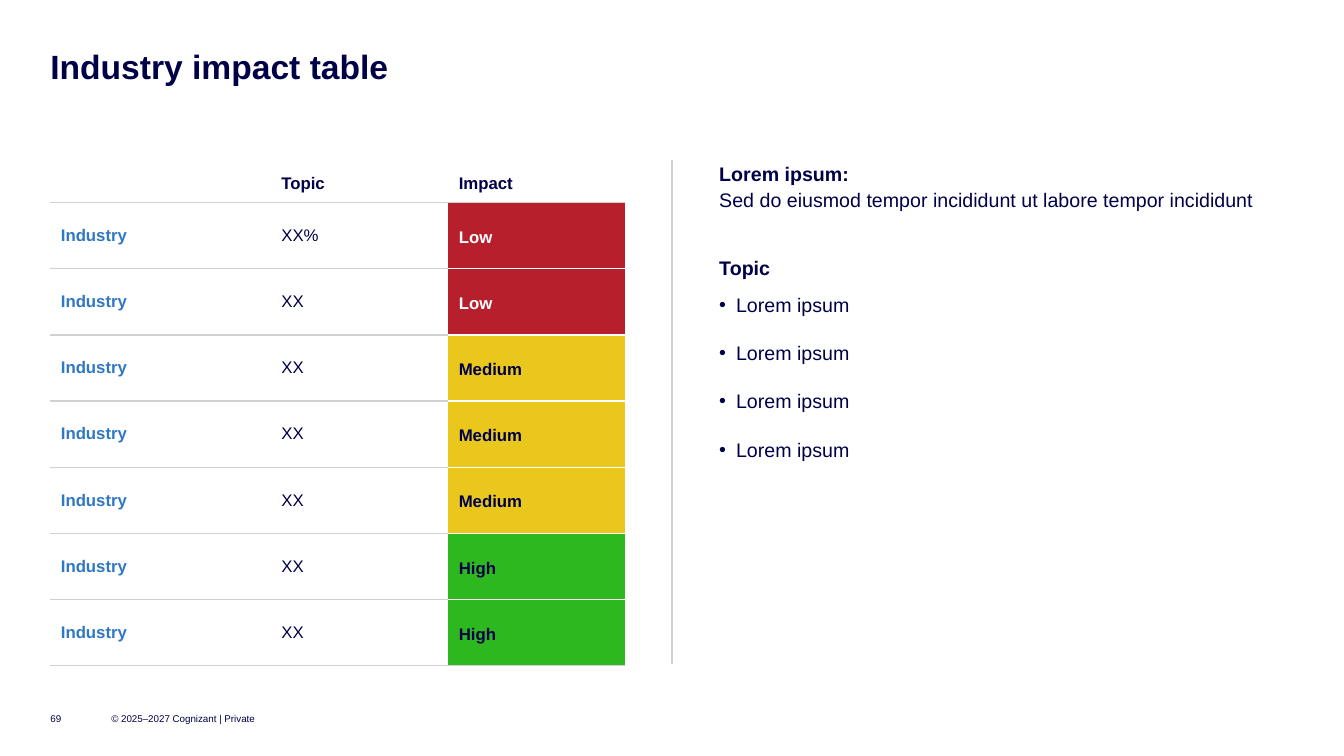
from lxml.etree import SubElement
from pptx import Presentation
from pptx.dml.color import RGBColor
from pptx.enum.shapes import MSO_CONNECTOR as CONN
from pptx.enum.text import MSO_ANCHOR as ANCHOR
from pptx.oxml.ns import qn
from pptx.util import Pt

PX = 9525
FONT = "Arial"
NO_STYLE = "{2D5ABB26-0587-4C30-8999-92F81FD0307C}"
NAVY = RGBColor(0x00, 0x00, 0x48)
BLUE = RGBColor(0x2F, 0x78, 0xC4)
GREY = RGBColor(0xD0, 0xD0, 0xCE)
WHITE = RGBColor(0xFF, 0xFF, 0xFF)
RED = RGBColor(0xB8, 0x1F, 0x2D)
YELLOW = RGBColor(0xE9, 0xC7, 0x1D)
GREEN = RGBColor(0x2D, 0xB8, 0x1F)

IMPACT_STYLES = {"Low": (RED, WHITE), "Medium": (YELLOW, NAVY), "High": (GREEN, NAVY)}
ROWS = [
    ("Industry", "XX%", "Low"),
    ("Industry", "XX", "Low"),
    ("Industry", "XX", "Medium"),
    ("Industry", "XX", "Medium"),
    ("Industry", "XX", "Medium"),
    ("Industry", "XX", "High"),
    ("Industry", "XX", "High"),
]
COL_WIDTHS = (210, 169, 168)
HEADER_H, ROW_H = 40, 63


def px(n):
    return n * PX


def add_run(p, text, size, color=NAVY, bold=False):
    r = p.add_run()
    r.text = text
    r.font.name = FONT
    r.font.size = Pt(size)
    r.font.bold = bold
    r.font.color.rgb = color


def add_box(s, x, y, w, h, anchor=ANCHOR.TOP):
    tf = s.shapes.add_textbox(px(x), px(y), px(w), px(h)).text_frame
    tf.word_wrap = True
    tf.margin_left = tf.margin_top = tf.margin_right = tf.margin_bottom = 0
    tf.vertical_anchor = anchor
    return tf


def add_label(s, x, y, w, h, text, size, bold=False, anchor=ANCHOR.MIDDLE, spacing=1.0):
    p = add_box(s, x, y, w, h, anchor).paragraphs[0]
    p.line_spacing = spacing
    add_run(p, text, size, bold=bold)


def add_divider(s, x, y1, y2):
    line = s.shapes.add_connector(CONN.STRAIGHT, px(x), px(y1), px(x), px(y2))
    line.line.color.rgb = GREY
    line.line.width = Pt(1)
    SubElement(line._element.spPr, qn("a:effectLst"))


def set_border(cell, side, color):
    ln = SubElement(cell._tc.get_or_add_tcPr(), qn(f"a:{side}"), w=str(Pt(1)))
    SubElement(SubElement(ln, qn("a:solidFill")), qn("a:srgbClr"), val=str(color))


def fill_cell(cell, text, color, bold, anchor, spacing, fill=None):
    cell.margin_left = cell.margin_right = px(10)
    cell.margin_top = cell.margin_bottom = px(9 if text else 0)
    cell.vertical_anchor = anchor
    if fill is None:
        cell.fill.background()
    else:
        cell.fill.solid()
        cell.fill.fore_color.rgb = fill
    if text:
        p = cell.text_frame.paragraphs[0]
        p.line_spacing = spacing
        add_run(p, text, 12, color, bold)


def add_impact_table(s, x, y):
    rows = [("", "Topic", "Impact")] + ROWS
    last = len(rows) - 1
    height = HEADER_H + ROW_H * last
    table = s.shapes.add_table(
        len(rows), len(COL_WIDTHS), px(x), px(y), px(sum(COL_WIDTHS)), px(height)
    ).table
    table.first_row = table.horz_banding = False
    table._tbl.tblPr.find(qn("a:tableStyleId")).text = NO_STYLE
    for col, w in zip(table.columns, COL_WIDTHS):
        col.width = px(w)
    for i, texts in enumerate(rows):
        table.rows[i].height = px(ROW_H if i else HEADER_H)
        anchor = ANCHOR.MIDDLE if i else ANCHOR.BOTTOM
        for j, text in enumerate(texts):
            cell = table.cell(i, j)
            if i > 0:
                set_border(cell, "lnT", WHITE if j == 2 and i > 1 else GREY)
            set_border(cell, "lnB", WHITE if j == 2 and 0 < i < last else GREY)
            fill, color = IMPACT_STYLES.get(text, (None, NAVY))
            if i and j == 0:
                color = BLUE
            bold = i == 0 or j != 1
            fill_cell(cell, text, color, bold, anchor, 1.2 if j == 2 else 1.0, fill)


def add_bullet(p):
    pPr = p._p.get_or_add_pPr()
    pPr.set("marL", str(px(16)))
    pPr.set("indent", str(px(-16)))
    SubElement(SubElement(pPr, qn("a:buClr")), qn("a:srgbClr"), val=str(NAVY))
    SubElement(pPr, qn("a:buFont"), typeface=FONT)
    SubElement(pPr, qn("a:buChar"), char="•")


def add_commentary(s, x, y, w, h):
    tf = add_box(s, x, y, w, h)
    p = tf.paragraphs[0]
    p.line_spacing = 1.1
    add_run(p, "Lorem ipsum:", 14, bold=True)
    p.add_line_break()
    add_run(p, "Sed do eiusmod tempor incididunt ut labore tempor incididunt", 14)
    p = tf.add_paragraph()
    p.line_spacing = 1.1
    p.space_before = Pt(30)
    add_run(p, "Topic", 14, bold=True)
    for text in ["Lorem ipsum"] * 4:
        p = tf.add_paragraph()
        p.line_spacing = 1.1
        p.space_before = p.space_after = Pt(8)
        add_bullet(p)
        add_run(p, text, 14)


def main():
    prs = Presentation()
    prs.slide_width, prs.slide_height = px(1280), px(720)
    s = prs.slides.add_slide(prs.slide_layouts[6])
    add_divider(s, 640, 152, 632)
    add_label(s, 48, 48, 1184, 35, "Industry impact table", 24, True, ANCHOR.TOP, 0.9)
    add_impact_table(s, 48, 152)
    add_commentary(s, 685, 152, 547, 480)
    add_label(s, 48, 672, 38, 24, "69", 7)
    add_label(s, 106, 672, 144, 24, "© 2025–2027 Cognizant | Private", 7)
    prs.save("out.pptx")


if __name__ == "__main__":
    main()
